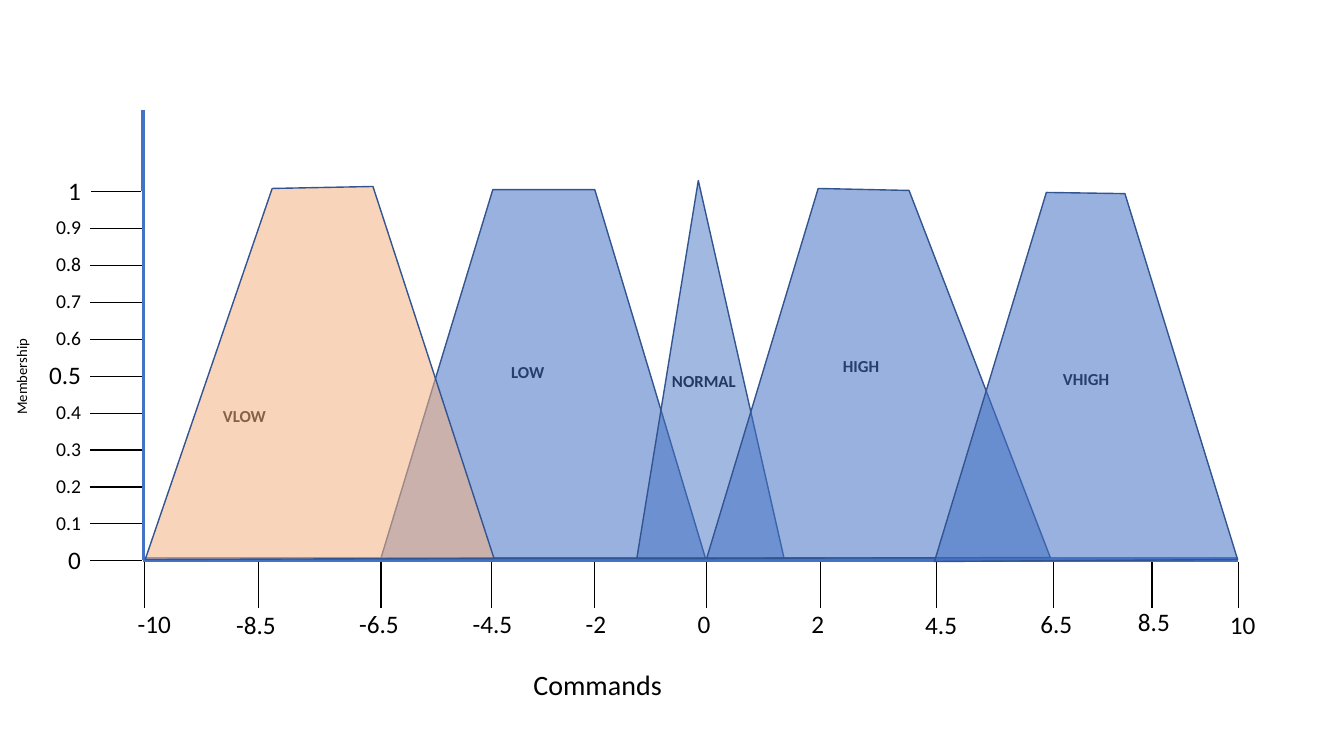
from collections import namedtuple
from itertools import product
from lxml.etree import SubElement
from pptx import Presentation
from pptx.dml.color import RGBColor
from pptx.enum.shapes import MSO_CONNECTOR, MSO_SHAPE
from pptx.enum.text import PP_ALIGN
from pptx.oxml.ns import qn
from pptx.util import Cm, Pt

Theme = namedtuple("Theme", "font ink paper blue peach edge small tag mid large title")
theme = Theme("Calibri", "000000", "FFFFFF", "4472C4", "F4B183", "325491",
              10.5, 12, 14, 18, 20)


def label(mid, top, width, height, text, size, bold=False, wrap=True):
    box = slide.shapes.add_textbox(Cm(mid - width / 2), Cm(top), Cm(width), Cm(height))
    box.text_frame.word_wrap = wrap
    box.text_frame.text = text
    para = box.text_frame.paragraphs[0]
    para.alignment = PP_ALIGN.CENTER
    font = para.runs[0].font
    font.name, font.size, font.bold = theme.font, Pt(size), bold
    font.color.rgb = RGBColor.from_string(theme.ink)
    return box


def ticks(left, top, widths, heights, edges):
    frame = slide.shapes.add_table(len(heights), len(widths), Cm(left), Cm(top),
                                   Cm(sum(widths)), Cm(sum(heights)))
    table = frame.table
    table.first_row = table.horz_banding = False
    for col, width in zip(table.columns, widths):
        col.width = Cm(width)
    for row, height in zip(table.rows, heights):
        row.height = Cm(height)
    for row, col in product(range(len(heights)), range(len(widths))):
        cell = table.cell(row, col)
        cell.margin_top = cell.margin_bottom = 0
        props = cell._tc.get_or_add_tcPr()
        for side in "LRTB":
            line = SubElement(props, qn("a:ln" + side), w=str(Pt(1)))
            if side in edges:
                fill = SubElement(line, qn("a:solidFill"))
                SubElement(fill, qn("a:srgbClr"), val=edges[side])
            else:
                SubElement(line, qn("a:noFill"))
        cell.fill.solid()
        cell.fill.fore_color.rgb = RGBColor.from_string(theme.paper)


deck = Presentation()
deck.slide_width, deck.slide_height = Cm(33.87), Cm(19.05)
slide = deck.slides.add_slide(deck.slide_layouts[6])

left, base = 3.61, 14.1
for x, y in [(left, 2.77), (31.19, base)]:
    axis = slide.shapes.add_connector(MSO_CONNECTOR.STRAIGHT, Cm(left), Cm(base), Cm(x), Cm(y))
    axis.line.color.rgb = RGBColor.from_string(theme.blue)
    axis.line.width = Pt(3)
    SubElement(axis._element.spPr, qn("a:effectLst"))

ticks(3.64, 14.17, [2.87, 3.09, 2.79, 2.59, 2.82, 2.87, 2.94, 2.94, 2.48, 2.18], [1.14],
      {"L": theme.ink, "R": theme.ink})
marks = [("-10", 3.89, 15.2), ("-8.5", 6.45, 15.22), ("-6.5", 9.55, 15.2),
         ("-4.5", 12.41, 15.2), ("-2", 15.02, 15.2), ("0", 17.74, 15.2),
         ("2", 20.61, 15.2), ("4.5", 23.72, 15.22), ("6.5", 26.62, 15.2),
         ("8.5", 29.08, 15.15), ("10", 31.32, 15.24)]
for text, mid, top in marks:
    label(mid, top, 0.9 + 0.25 * len(text), 1.02, text, theme.large, wrap=False)

step = 0.93
ticks(2.29, 4.83, [1.27], [step] * 10,
      {"L": theme.paper, "R": theme.paper, "T": theme.ink, "B": theme.ink})
for k in range(11):
    major = k % 5 == 0
    size, height = (theme.large, 1.02) if major else (theme.mid, 0.86)
    text = f"{k / 10:g}"
    width = 0.84 if len(text) == 1 else 1.32 if major else 1.14
    label(2.3 - width / 2, base - step * k - height / 2, width, height, text, size, wrap=False)

tags = [("VLOW", 6.16, 10.11), ("LOW", 13.3, 8.99), ("NORMAL", 17.74, 9.22),
        ("HIGH", 21.7, 8.84), ("VHIGH", 27.37, 9.17)]
for text, mid, top in tags:
    label(mid, top, 2.5, 0.76, text, theme.tag, bold=True)
label(15.06, 16.69, 22.96, 2.2, "Commands", theme.title)
label(0.56, 9.12, 9.35, 0.74, "Membership", theme.small).rotation = 270

sets = [
    (theme.blue, 55, [(9.6, 14.07), (12.42, 4.78), (14.99, 4.78), (17.78, 14.07)]),
    (theme.peach, 55, [(3.66, 14.1), (6.86, 4.75), (9.4, 4.7), (12.45, 14.07)]),
    (theme.blue, 50, [(16.05, 14.07), (17.6, 4.55), (19.76, 14.07)]),
    (theme.blue, 55, [(17.81, 14.07), (20.62, 4.75), (22.91, 4.8), (26.47, 14.05)]),
    (theme.blue, 55, [(23.55, 14.15), (26.37, 4.85), (28.35, 4.88), (31.19, 14.1)]),
]
for color, alpha, points in sets:
    (x, y), (peak, top), *rest = points
    if len(points) == 3:
        wide = rest[0][0] - x
        shape = slide.shapes.add_shape(MSO_SHAPE.ISOSCELES_TRIANGLE,
                                       Cm(x), Cm(top), Cm(wide), Cm(y - top))
        shape.adjustments[0] = (peak - x) / wide
    else:
        pen = slide.shapes.build_freeform(Cm(x), Cm(y))
        pen.add_line_segments([(Cm(a), Cm(b)) for a, b in points[1:]], close=True)
        shape = pen.convert_to_shape()
    shape.shadow.inherit = False
    shape.fill.solid()
    shape.fill.fore_color.rgb = RGBColor.from_string(color)
    tint = shape._element.spPr.find(qn("a:solidFill")).find(qn("a:srgbClr"))
    SubElement(tint, qn("a:alpha"), val=str(alpha * 1000))
    shape.line.color.rgb = RGBColor.from_string(theme.edge)
    shape.line.width = Pt(1)

deck.save("out.pptx")
